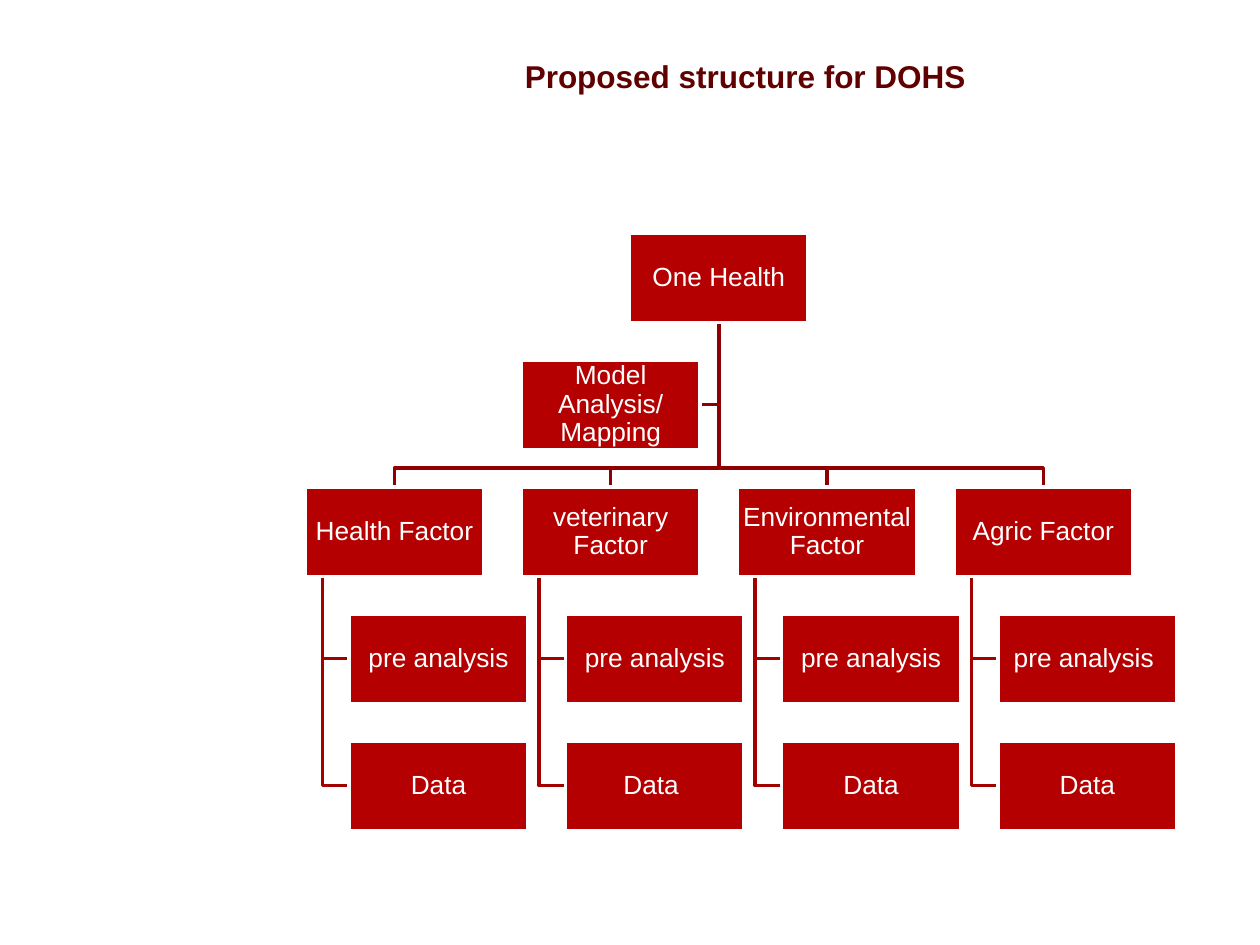
from pptx import Presentation
from pptx.dml.color import RGBColor
from pptx.enum.shapes import MSO_SHAPE
from pptx.enum.text import MSO_ANCHOR, PP_ALIGN
from pptx.util import Inches, Pt

RECTANGLE = MSO_SHAPE.RECTANGLE
MIDDLE = MSO_ANCHOR.MIDDLE
CENTER = PP_ALIGN.CENTER
TITLE_ONLY = 5

TITLE_COLOR = "600000"
NODE_FILL = "B40000"
UPPER_LINE = "900000"
LOWER_LINE = "A30000"
WHITE = "FFFFFF"

NODE_WIDTH, NODE_HEIGHT = Inches(1.42), Inches(0.71)
CHILD_INDENT = Inches(0.35)
STEM_INDENT = Inches(0.14)
BUS_GAP = Inches(0.15)

FACTORS = [
    ("Health Factor", ["pre analysis", "Data"]),
    ("veterinary Factor", ["pre analysis", "Data "]),
    ("Environmental Factor", ["pre analysis", "Data"]),
    ("Agric Factor", ["pre analysis ", "Data"]),
]


def color(hex_string):
    return RGBColor.from_string(hex_string)


def format_text(frame, size, hex_string, bold=False):
    frame.word_wrap = True
    frame.vertical_anchor = MIDDLE
    para = frame.paragraphs[0]
    para.alignment = CENTER
    para.font.name = "Arial"
    para.font.size = Pt(size)
    para.font.bold = bold
    para.font.color.rgb = color(hex_string)
    return para


def place_title(page, text, left, top, width, height):
    title = page.shapes.title
    title.left, title.top, title.width, title.height = left, top, width, height
    title.text_frame.text = text
    format_text(title.text_frame, 18, TITLE_COLOR, bold=True)


def add_node(page, text, left, top):
    node = page.shapes.add_shape(RECTANGLE, left, top, NODE_WIDTH, NODE_HEIGHT)
    node.shadow.inherit = False
    node.fill.solid()
    node.fill.fore_color.rgb = color(NODE_FILL)
    node.line.color.rgb = color(WHITE)
    node.line.width = Pt(2)
    frame = node.text_frame
    frame.margin_left = frame.margin_right = Inches(0.01)
    frame.margin_top = frame.margin_bottom = Inches(0.01)
    frame.text = text
    format_text(frame, 15, WHITE).line_spacing = 0.9


def add_elbow(page, points, hex_string):
    """Draw an open, unfilled line through the points."""
    builder = page.shapes.build_freeform(*points[0])
    builder.add_line_segments(points[1:], close=False)
    elbow = builder.convert_to_shape()
    elbow.shadow.inherit = False
    elbow.fill.background()
    elbow.line.color.rgb = color(hex_string)
    elbow.line.width = Pt(2)


def add_organization_chart(page, left, top, width, height):
    """Root, assistant, then one column per factor with its children."""
    column_step = (width - CHILD_INDENT - NODE_WIDTH) / (len(FACTORS) - 1)
    columns = [round(left + column_step * i) for i in range(len(FACTORS))]
    row_step = (height - NODE_HEIGHT) / 4
    rows = [round(top + row_step * i) for i in range(5)]
    root_left = (columns[0] + columns[-1]) // 2
    root_x = root_left + NODE_WIDTH // 2
    root_bottom = rows[0] + NODE_HEIGHT
    bus_y = rows[2] - BUS_GAP

    # Lines come first so that the nodes lie over their ends.
    assistant_y = rows[1] + NODE_HEIGHT // 2
    add_elbow(page, [(root_x, root_bottom), (root_x, assistant_y),
                     (columns[1] + NODE_WIDTH, assistant_y)], UPPER_LINE)
    for column in columns:
        factor_x = column + NODE_WIDTH // 2
        add_elbow(page, [(root_x, root_bottom), (root_x, bus_y),
                         (factor_x, bus_y), (factor_x, rows[2])], UPPER_LINE)
        stem_x = column + STEM_INDENT
        for row in rows[3:]:
            child_y = row + NODE_HEIGHT // 2
            add_elbow(page, [(stem_x, rows[2] + NODE_HEIGHT), (stem_x, child_y),
                             (column + CHILD_INDENT, child_y)], LOWER_LINE)

    add_node(page, "One Health", root_left, rows[0])
    add_node(page, "Model Analysis/ Mapping", columns[1], rows[1])
    for column, (factor, children) in zip(columns, FACTORS):
        add_node(page, factor, column, rows[2])
        for row, child in zip(rows[3:], children):
            add_node(page, child, column + CHILD_INDENT, row)


def main():
    deck = Presentation()
    deck.slide_width, deck.slide_height = Inches(10), Inches(7.5)
    page = deck.slides.add_slide(deck.slide_layouts[TITLE_ONLY])
    place_title(page, "Proposed structure for DOHS ",
                Inches(2.09), Inches(0.21), Inches(7.72), Inches(0.79))
    add_organization_chart(page, Inches(2.42), Inches(1.85),
                           Inches(6.92), Inches(4.74))
    deck.save("out.pptx")


if __name__ == "__main__":
    main()
